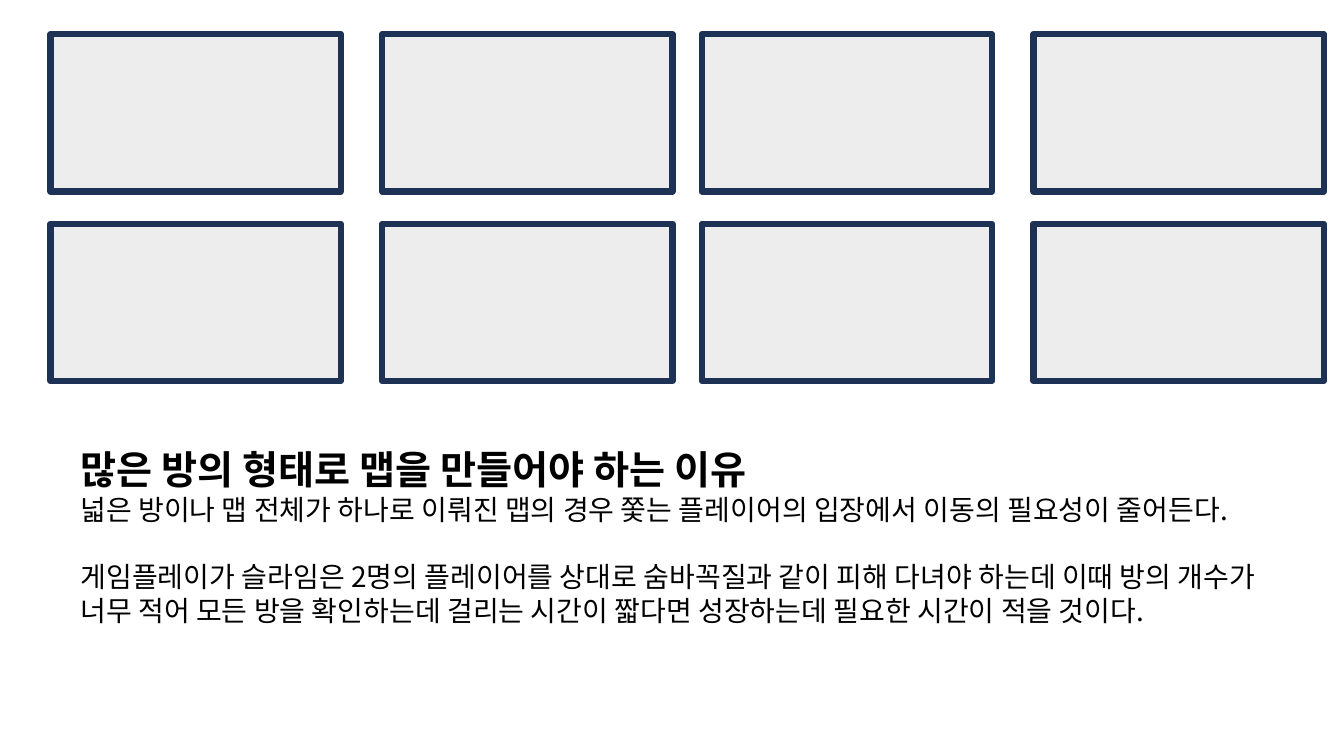
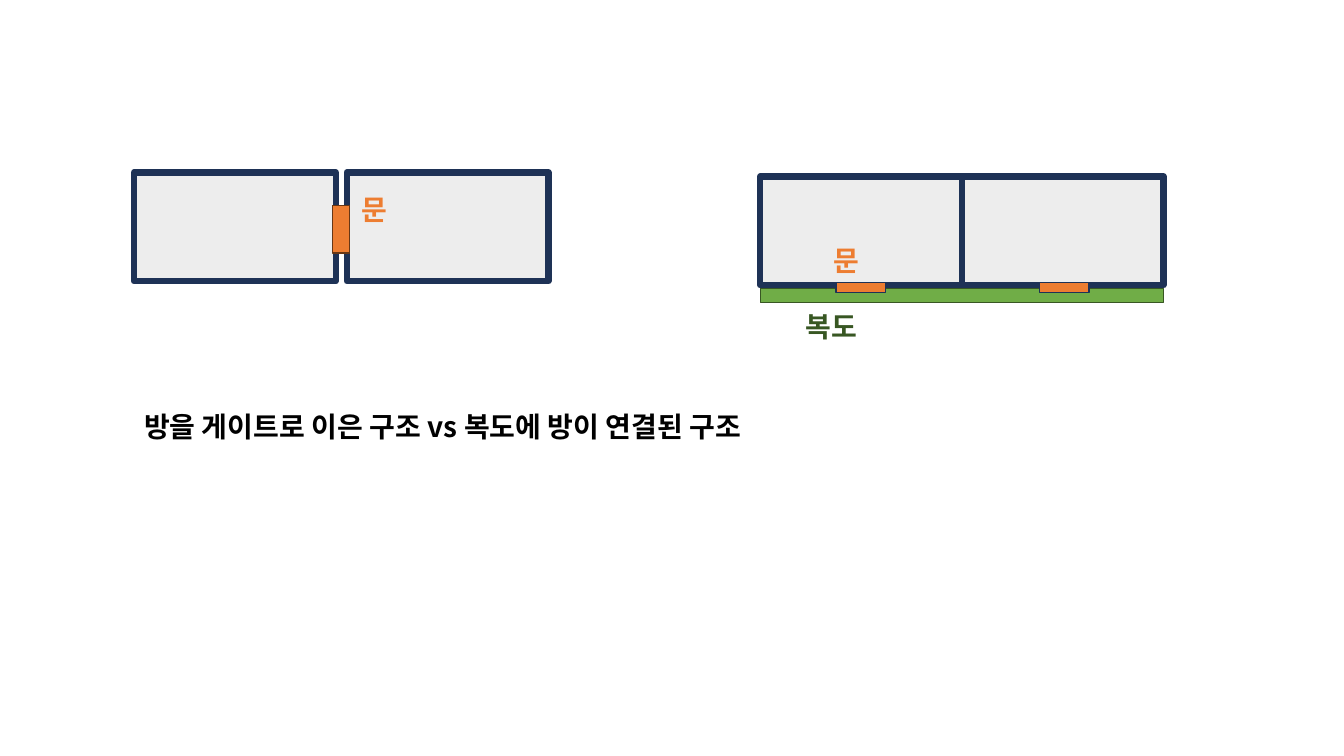
"""Two slides on why the game map is split into rooms and how rooms connect."""
from dataclasses import dataclass

from lxml import etree
from pptx import Presentation
from pptx.dml.color import RGBColor
from pptx.enum.shapes import MSO_SHAPE
from pptx.enum.text import MSO_AUTO_SIZE, PP_ALIGN
from pptx.oxml.ns import qn
from pptx.util import Inches, Pt

RECTANGLE = MSO_SHAPE.RECTANGLE
GROW = MSO_AUTO_SIZE.SHAPE_TO_FIT_TEXT
LEFT, CENTER = PP_ALIGN.LEFT, PP_ALIGN.CENTER


@dataclass(frozen=True)
class Theme:
    font: str = "Noto Sans CJK KR"
    text: str = "000000"
    room: str = "EDEDED"
    wall: str = "1E3256"
    door: str = "ED7D31"
    door_edge: str = "683715"
    corridor: str = "70AD47"
    corridor_edge: str = "385723"
    title_size: int = 28
    body_size: int = 20
    leading: float = 1.2
    wall_width: float = 4.5
    edge_width: float = 1


theme = Theme()


def add_block(slide, left, top, width, height, fill, edge, edge_width=theme.edge_width):
    block = slide.shapes.add_shape(
        RECTANGLE, Inches(left), Inches(top), Inches(width), Inches(height))
    block.shadow.inherit = False
    block.fill.solid()
    block.fill.fore_color.rgb = RGBColor.from_string(fill)
    block.line.color.rgb = RGBColor.from_string(edge)
    block.line.width = Pt(edge_width)


def add_text(slide, left, top, width, height, lines, color=theme.text, align=LEFT, wrap=True):
    frame = slide.shapes.add_textbox(
        Inches(left), Inches(top), Inches(width), Inches(height)).text_frame
    frame.word_wrap = wrap
    frame.auto_size = GROW
    for index, (words, size, bold, space_before) in enumerate(lines):
        paragraph = frame.add_paragraph() if index else frame.paragraphs[0]
        paragraph.alignment = align
        paragraph.line_spacing = Pt(size * theme.leading)
        paragraph.space_before = Pt(space_before)
        run = paragraph.add_run()
        run.text = words
        run.font.size = Pt(size)
        run.font.bold = bold
        run.font.color.rgb = RGBColor.from_string(color)
        run.font.name = theme.font
        east_asian = etree.SubElement(run._r.get_or_add_rPr(), qn("a:ea"))
        east_asian.set("typeface", theme.font)


deck = Presentation()
deck.slide_width, deck.slide_height = Inches(13.33), Inches(7.5)
blank = deck.slide_layouts[6]

reasons = deck.slides.add_slide(blank)
pair_step, room_step, row_step = 6.46, 3.29, 1.88
for pair in range(2):
    for row in range(2):
        for column in range(2):
            add_block(reasons, 0.5 + pair * pair_step + column * room_step,
                      0.34 + row * row_step, 2.88, 1.56,
                      theme.room, theme.wall, theme.wall_width)
add_text(reasons, 0.7, 4.37, 11.93, 2.59, [
    ("많은 방의 형태로 맵을 만들어야 하는 이유", theme.title_size, True, 0),
    ("넓은 방이나 맵 전체가 하나로 이뤄진 맵의 경우 쫓는 플레이어의 입장에서 "
     "이동의 필요성이 줄어든다.", theme.body_size, False, 0),
    ("게임플레이가 슬라임은 2명의 플레이어를 상대로 숨바꼭질과 같이 피해 다녀야 하는데 "
     "이때 방의 개수가 너무 적어 모든 방을 확인하는데 걸리는 시간이 짧다면 "
     "성장하는데 필요한 시간이 적을 것이다.",
     theme.body_size, False, theme.body_size * theme.leading),
])

layouts = deck.slides.add_slide(blank)
room_width, room_height = 2, 1.08
gate_left, gate_top, gate_gap = 1.33, 1.71, 0.11
hall_left, hall_top = 7.54, 1.75
add_block(layouts, hall_left, 2.86, 2 * room_width, 0.14,
          theme.corridor, theme.corridor_edge)
for left, top, gap in ((gate_left, gate_top, gate_gap), (hall_left, hall_top, 0)):
    for column in range(2):
        add_block(layouts, left + column * (room_width + gap), top,
                  room_width, room_height, theme.room, theme.wall, theme.wall_width)

add_block(layouts, 3.3, 2.04, 0.17, 0.47, theme.door, theme.door_edge)
for column in range(2):
    add_block(layouts, 8.29 + column * 2.02, 2.8, 0.49, 0.1, theme.door, theme.wall)

add_text(layouts, gate_left, 4.01, 10.85, 0.44,
         [("방을 게이트로 이은 구조 vs 복도에 방이 연결된 구조", theme.body_size, True, 0)])
for label, left, top, width, color in (
    ("복도", 7.87, 3.02, 0.76, theme.corridor_edge),
    ("문", 3.47, 1.86, 0.48, theme.door),
    ("문", 8.15, 2.37, 0.48, theme.door),
):
    add_text(layouts, left, top, width, 0.44,
             [(label, theme.body_size, True, 0)], color, CENTER, False)

deck.save("out.pptx")
